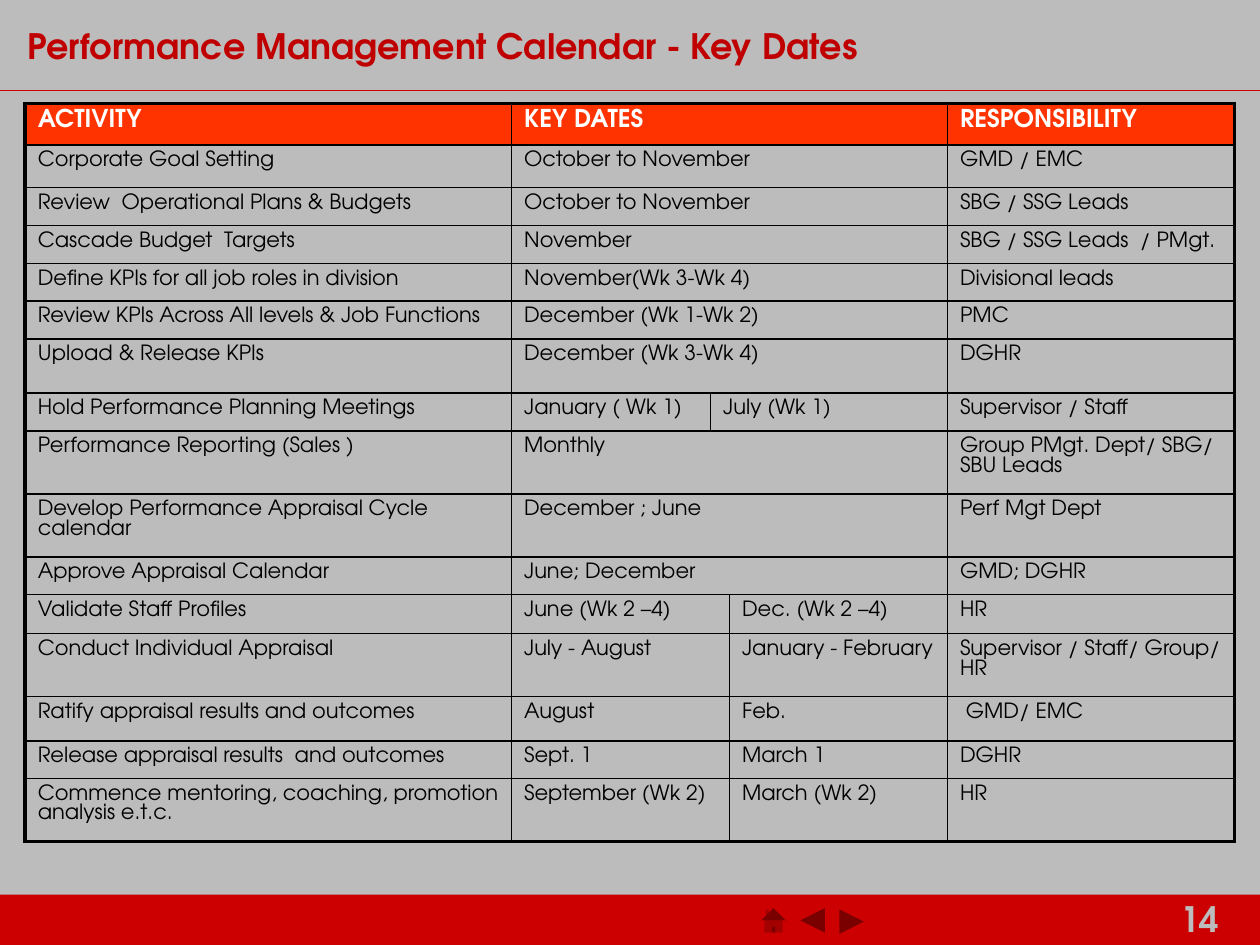
from dataclasses import dataclass

from lxml import etree
from pptx import Presentation
from pptx.dml.color import RGBColor
from pptx.enum.shapes import MSO_CONNECTOR, MSO_SHAPE
from pptx.enum.text import MSO_ANCHOR
from pptx.oxml.ns import qn
from pptx.slide import Slide
from pptx.util import Inches, Pt

LINE = MSO_CONNECTOR.STRAIGHT
RECTANGLE = MSO_SHAPE.RECTANGLE
HOME = MSO_SHAPE.ACTION_BUTTON_HOME
NEXT = MSO_SHAPE.ACTION_BUTTON_FORWARD_OR_NEXT
PREVIOUS = MSO_SHAPE.ACTION_BUTTON_BACK_OR_PREVIOUS
BLANK = MSO_SHAPE.ACTION_BUTTON_CUSTOM
TOP, MIDDLE = MSO_ANCHOR.TOP, MSO_ANCHOR.MIDDLE

GREY = RGBColor(0xBC, 0xBC, 0xBC)
RED = RGBColor(0xCC, 0x00, 0x00)
DARK_RED = RGBColor(0xC0, 0x00, 0x00)
ORANGE = RGBColor(0xFF, 0x33, 0x00)
WHITE = RGBColor(0xFF, 0xFF, 0xFF)
BLACK = RGBColor(0x00, 0x00, 0x00)

COLUMN_WIDTHS = [3.86, 1.58, 0.15, 1.73, 2.28]
CALENDAR = [
    (0.33, {0: "ACTIVITY", 1: "KEY DATES", 4: "RESPONSIBILITY"}),
    (0.34, {0: "Corporate Goal Setting", 1: "October to November", 4: "GMD / EMC"}),
    (0.3, {0: "Review  Operational Plans & Budgets", 1: "October to November", 4: "SBG / SSG Leads"}),
    (0.3, {0: "Cascade Budget  Targets", 1: "November", 4: "SBG / SSG Leads  / PMgt."}),
    (0.3, {0: "Define KPIs for all job roles in division", 1: "November(Wk 3-Wk 4)", 4: "Divisional leads"}),
    (0.3, {0: "Review KPIs Across All levels & Job Functions", 1: "December (Wk 1-Wk 2)", 4: "PMC"}),
    (0.43, {0: "Upload & Release KPIs", 1: "December (Wk 3-Wk 4)", 4: "DGHR"}),
    (0.3, {0: "Hold Performance Planning Meetings", 1: "January ( Wk 1)", 2: "July (Wk 1)", 4: "Supervisor / Staff"}),
    (0.5, {0: "Performance Reporting (Sales )", 1: "Monthly", 4: "Group PMgt. Dept/ SBG/ SBU Leads"}),
    (0.5, {0: "Develop Performance Appraisal Cycle calendar", 1: "December ; June", 4: "Perf Mgt Dept"}),
    (0.3, {0: "Approve Appraisal Calendar", 1: "June; December", 4: "GMD; DGHR"}),
    (0.31, {0: "Validate Staff Profiles", 1: "June (Wk 2 –4)", 3: "Dec. (Wk 2 –4)", 4: "HR"}),
    (0.5, {0: "Conduct Individual Appraisal", 1: "July - August", 3: "January - February",
           4: "Supervisor / Staff/ Group/ HR"}),
    (0.35, {0: "Ratify appraisal results and outcomes", 1: "August", 3: "Feb.", 4: " GMD/ EMC"}),
    (0.3, {0: "Release appraisal results  and outcomes", 1: "Sept. 1", 3: "March 1", 4: "DGHR"}),
    (0.5, {0: "Commence mentoring, coaching, promotion analysis e.t.c.", 1: "September (Wk 2)",
           3: "March (Wk 2)", 4: "HR"}),
]


@dataclass
class CalendarSlide:
    """Draw the elements of one slide in a shared style."""

    slide: Slide
    font: str = "TeX Gyre Adventor"
    inner_border: float = 1
    outer_border: float = 2.25

    def background(self, color):
        self.slide.background.fill.solid()
        self.slide.background.fill.fore_color.rgb = color

    def shape(self, kind, left, top, width, height, color, flipped=False):
        shape = self.slide.shapes.add_shape(kind, Inches(left), Inches(top), Inches(width), Inches(height))
        shape.shadow.inherit = False
        shape.fill.solid()
        shape.fill.fore_color.rgb = color
        shape.line.fill.background()
        if flipped:
            shape.element.spPr.find(qn("a:xfrm")).set("flipH", "1")

    def rule(self, left, right, y, color, weight):
        rule = self.slide.shapes.add_connector(LINE, Inches(left), Inches(y), Inches(right), Inches(y))
        rule.line.color.rgb = color
        rule.line.width = Pt(weight)
        etree.SubElement(rule.element.spPr, qn("a:effectLst"))

    def run(self, paragraph, words, size, color, bold):
        run = paragraph.add_run()
        run.text = words
        run.font.name = self.font
        run.font.size = Pt(size)
        run.font.bold = bold
        run.font.color.rgb = color

    def text(self, words, left, top, width, height, size, color, anchor=TOP, spacing=1.0):
        box = self.slide.shapes.add_textbox(Inches(left), Inches(top), Inches(width), Inches(height))
        frame = box.text_frame
        frame.word_wrap = True
        frame.vertical_anchor = anchor
        paragraph = frame.paragraphs[0]
        paragraph.line_spacing = spacing
        self.run(paragraph, words, size, color, True)

    def border(self, cell, side, weight):
        edge = etree.SubElement(cell._tc.get_or_add_tcPr(), qn(f"a:ln{side}"), w=str(Pt(weight)))
        fill = etree.SubElement(edge, qn("a:solidFill"))
        etree.SubElement(fill, qn("a:srgbClr"), val=str(BLACK))

    def cell(self, cell, words, heading):
        size = 14 if heading else 12
        paragraph = cell.text_frame.paragraphs[0]
        paragraph.line_spacing = Pt(size * 0.93)
        paragraph.space_before = Pt(1)
        self.run(paragraph, words, size, WHITE if heading else BLACK, heading)

    def table(self, left, top, widths, rows):
        row_count, column_count = len(rows), len(widths)
        table = self.slide.shapes.add_table(
            row_count, column_count, Inches(left), Inches(top),
            Inches(sum(widths)), Inches(sum(height for height, _ in rows))).table
        table.first_row = table.horz_banding = False
        for column, width in zip(table.columns, widths):
            column.width = Inches(width)
        for r, (height, entries) in enumerate(rows):
            table.rows[r].height = Inches(height)
            for c in range(column_count):
                cell = table.cell(r, c)
                outer = {"L": c == 0, "R": c == column_count - 1, "T": r == 0, "B": r == row_count - 1}
                for side, is_outer in outer.items():
                    self.border(cell, side, self.outer_border if is_outer else self.inner_border)
                if r == 0:
                    cell.fill.solid()
                    cell.fill.fore_color.rgb = ORANGE
                else:
                    cell.fill.background()
            starts = list(entries)
            for start, end in zip(starts, starts[1:] + [column_count]):
                if end - start > 1:
                    table.cell(r, start).merge(table.cell(r, end - 1))
                self.cell(table.cell(r, start), entries[start], r == 0)


def main():
    deck = Presentation()
    deck.slide_width, deck.slide_height = Inches(10), Inches(7.5)
    page = CalendarSlide(deck.slides.add_slide(deck.slide_layouts[6]))
    page.background(GREY)
    page.shape(RECTANGLE, 0, 7.1, 10, 0.4, RED)
    page.text("14", 9.27, 7.07, 0.73, 0.43, 20, GREY)
    for button, left, top in ((PREVIOUS, 6.63, 7.15), (NEXT, 6.32, 7.14),
                              (BLANK, 6.96, 7.15), (HOME, 6.01, 7.14)):
        page.shape(button, left, top, 0.26, 0.33, RED, flipped=True)
    page.rule(0, 10, 0.72, RED, 0.75)
    page.table(0.2, 0.82, COLUMN_WIDTHS, CALENDAR)
    page.text("Performance Management Calendar - Key Dates", 0.12, 0, 8.17, 0.78, 20, DARK_RED,
              anchor=MIDDLE, spacing=0.85)
    deck.save("out.pptx")


if __name__ == "__main__":
    main()
